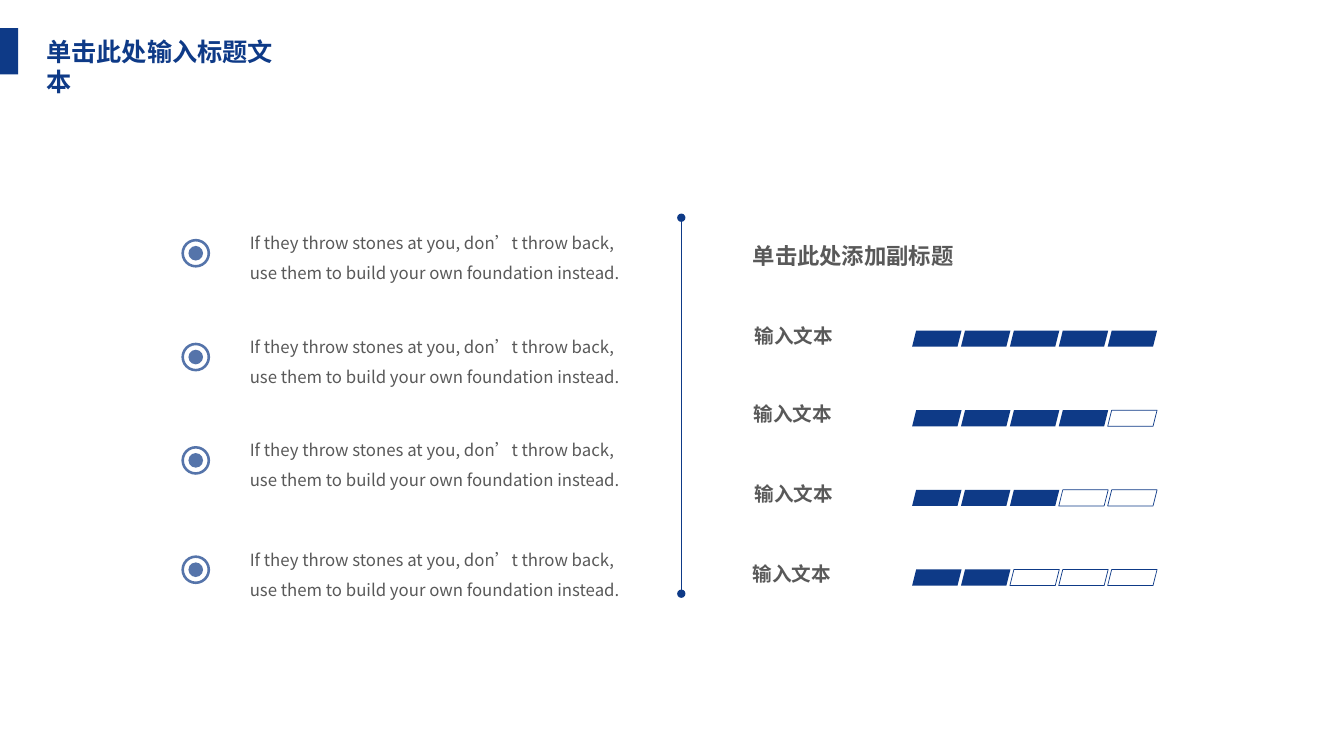
from lxml import etree
from pptx import Presentation
from pptx import util as u
from pptx.dml import color as col
from pptx.enum import shapes, text
from pptx.oxml import ns

PX = 4572
KIND = shapes.MSO_SHAPE


def tint(code):
    return col.RGBColor.from_string(code)


class Deck:
    font = "Noto Sans CJK SC"
    navy = "0E3A87"
    gray = "595959"

    def __init__(self, wide, high):
        self.prs = Presentation()
        self.prs.slide_width = u.Emu(wide * PX)
        self.prs.slide_height = u.Emu(high * PX)
        self.slide = self.prs.slides.add_slide(self.prs.slide_layouts[6])

    def group(self):
        return self.slide.shapes.add_group_shape()

    def shape(self, kind, box, home=None, filled=True, alpha=None):
        home = home or self.slide
        item = home.shapes.add_shape(kind, *[u.Emu(n * PX) for n in box])
        item.shadow.inherit = False
        if filled:
            item.fill.solid()
            item.fill.fore_color.rgb = tint(self.navy)
            item.line.fill.background()
        else:
            item.fill.background()
            item.line.color.rgb = tint(self.navy)
            item.line.width = u.Pt(0.5)
        if alpha:
            paint = item.fill._xPr.find(".//" + ns.qn("a:srgbClr"))
            etree.SubElement(paint, ns.qn("a:alpha"), val=str(alpha * 1000))
        return item

    def text(self, words, box, size, hue, bold=False, space=None, inset=(20, 10)):
        item = self.slide.shapes.add_textbox(*[u.Emu(n * PX) for n in box])
        frame = item.text_frame
        frame.word_wrap = True
        frame.auto_size = text.MSO_AUTO_SIZE.SHAPE_TO_FIT_TEXT
        frame.margin_left = frame.margin_right = u.Emu(inset[0] * PX)
        frame.margin_top = frame.margin_bottom = u.Emu(inset[1] * PX)
        para = frame.paragraphs[0]
        if space:
            para.line_spacing = space
        run = para.add_run()
        run.text = words
        run.font.size = u.Pt(size)
        run.font.bold = bold
        run.font.color.rgb = tint(hue)
        run.font.name = self.font
        etree.SubElement(run.font._rPr, ns.qn("a:ea"), typeface=self.font)

    def line(self, x, top, end):
        item = self.slide.shapes.add_connector(
            shapes.MSO_CONNECTOR.STRAIGHT, *[u.Emu(n * PX) for n in (x, top, x, end)])
        item.line.color.rgb = tint(self.navy)
        item.line.width = u.Pt(1)
        edge = item.line._get_or_add_ln()
        for tip in ("a:headEnd", "a:tailEnd"):
            etree.SubElement(edge, ns.qn(tip), type="oval")
        etree.SubElement(item._element.spPr, ns.qn("a:effectLst"))

    def bullet(self, x, y):
        home = self.group()
        self.shape(KIND.OVAL, (x + 14, y + 14, 29, 29), home, alpha=70)
        ring = self.shape(KIND.DONUT, (x, y, 57, 57), home, alpha=70)
        ring.adjustments[0] = 0.09

    def meter(self, x, y, score):
        home = self.group()
        for i in range(5):
            self.shape(KIND.PARALLELOGRAM, (x + 97 * i, y, 98, 32), home, i < score)


def main():
    deck = Deck(2667, 1500)
    deck.text("单击此处输入标题文本", (76, 64, 530, 76), 18, deck.navy, True, inset=(16, 8))
    deck.shape(KIND.RECTANGLE, (0, 56, 36, 92))

    quote = ("If they throw stones at you, don’t throw back, "
             "use them to build your own foundation instead.")
    for y in (474, 680, 885, 1102):
        deck.bullet(360, y)
        deck.text(quote, (476, y - 42, 810, 142), 12, deck.gray, space=1.5)

    deck.line(1352, 432, 1178)

    deck.text("单击此处添加副标题", (1474, 470, 494, 78), 16, deck.gray, True)
    spots = ((1478, 632), (1476, 788), (1478, 947), (1474, 1106))
    for i, (x, y) in enumerate(spots):
        deck.text("输入文本", (x, y, 306, 70), 14, deck.gray, True)
        deck.meter(1810, 656 + 158 * i, 5 - i)

    deck.prs.save("out.pptx")


if __name__ == "__main__":
    main()
